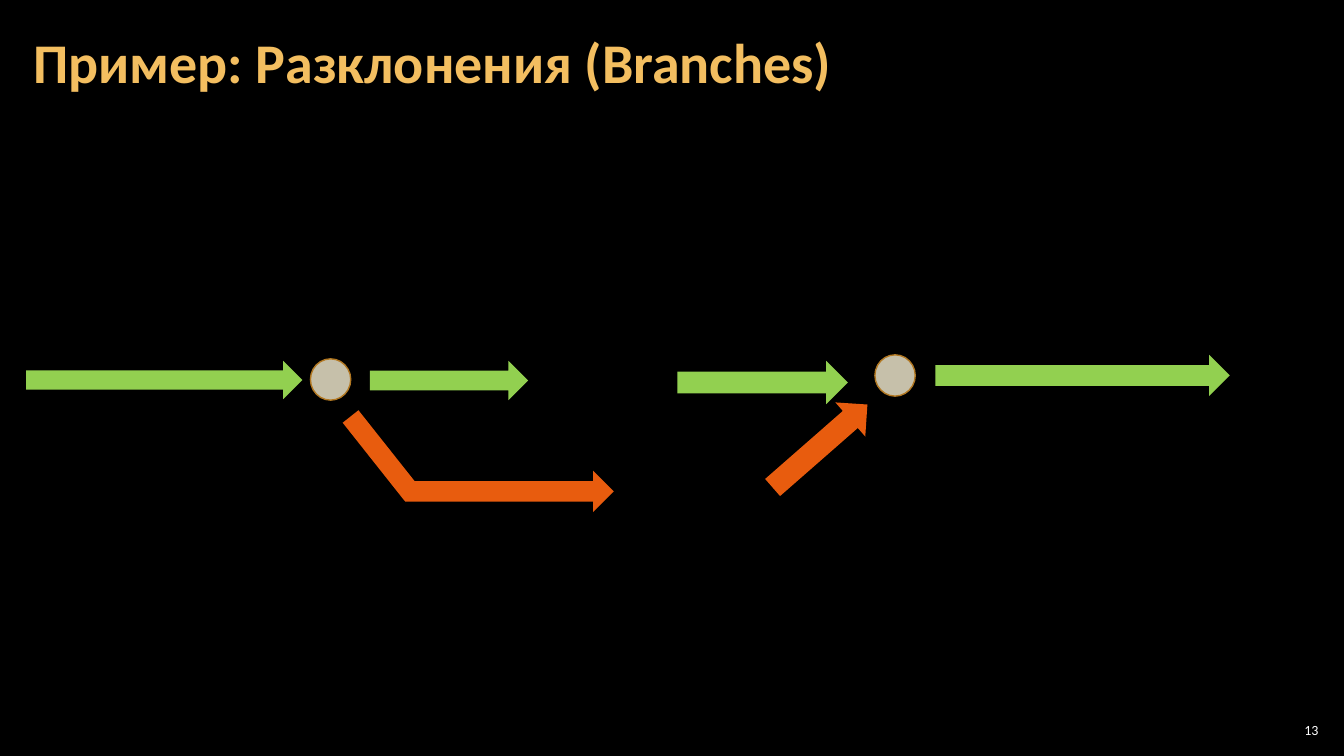
from pptx import Presentation
from pptx.dml.color import RGBColor
from pptx.enum.shapes import MSO_SHAPE as Kind
from pptx.enum.text import MSO_ANCHOR as Anchor, PP_ALIGN as Align
from pptx.util import Inches, Pt

BLACK = RGBColor(0x00, 0x00, 0x00)
WHITE = RGBColor(0xFF, 0xFF, 0xFF)
GOLD = RGBColor(0xF3, 0xBE, 0x60)
GREEN = RGBColor(0x92, 0xD0, 0x50)
ORANGE = RGBColor(0xE8, 0x5C, 0x0E)
SAND = RGBColor(0xC6, 0xC0, 0xAA)
BROWN = RGBColor(0xB2, 0x78, 0x22)

CELL = Inches(0.1)
COLS, ROWS = 133.33, 75
NODE = (4, 4.1)


def grid(*cells):
    """Turn counts of grid cells into lengths."""
    return [round(count * CELL) for count in cells]


def label(slide, box, text, side, font, para):
    """Write one line of text in the given box."""
    frame = slide.shapes.add_textbox(*grid(*box)).text_frame
    inset = {"margin_left": side, "margin_right": side,
             "margin_top": Inches(0.04), "margin_bottom": Inches(0.04),
             "word_wrap": True, "vertical_anchor": Anchor.MIDDLE}
    line = frame.paragraphs[0]
    run = line.add_run()
    run.text = text
    for part, style in ((frame, inset), (line, para), (run.font, font)):
        for name, value in style.items():
            setattr(part, name, value)
    run.font.color.rgb = GOLD if font["bold"] else WHITE


def shape(slide, origin, kind, place, fill, turn=0, edge=None):
    """Place a flat shape relative to the corner of its region."""
    left, top, width, height = place
    item = slide.shapes.add_shape(
        kind, *grid(origin[0] + left, origin[1] + top, width, height))
    item.shadow.inherit = False
    item.rotation = turn
    item.fill.solid()
    item.fill.fore_color.rgb = fill
    if edge:
        item.line.color.rgb = edge
        item.line.width = Pt(1)
    else:
        item.line.fill.background()


def title(slide, box):
    """Write the slide title."""
    label(slide, box, "Пример: Разклонения (Branches)", Inches(0.12),
          {"name": "Calibri", "size": Pt(40), "bold": True},
          {"line_spacing": 0.9})


def number(slide, box):
    """Write the slide number."""
    label(slide, box, "13", Inches(0.04),
          {"name": "Calibri", "size": Pt(10), "bold": False},
          {"alignment": Align.RIGHT})


def split(slide, origin):
    """Draw the main line with a branch leaving its node."""
    arrow = Kind.RIGHT_ARROW
    shape(slide, origin, arrow, (0, 0.6, 27.4, 3.8), GREEN)
    shape(slide, origin, Kind.OVAL, (28.2, 0.4, *NODE), SAND, edge=BROWN)
    shape(slide, origin, arrow, (34.1, 0.6, 15.7, 3.9), GREEN)
    shape(slide, origin, arrow, (37.6, 11.5, 20.7, 4.1), ORANGE)
    shape(slide, origin, Kind.RECTANGLE, (30.3, 9, 9.9, 2), ORANGE, turn=51.6)


def merge(slide, origin):
    """Draw the main line with a branch joining its node."""
    arrow = Kind.RIGHT_ARROW
    shape(slide, origin, arrow, (25.6, 0, 29.2, 4.1), GREEN)
    shape(slide, origin, arrow, (7.9, 6.8, 12.5, 4.5), ORANGE, turn=318.8)
    shape(slide, origin, Kind.OVAL, (19.6, 0, *NODE), SAND, edge=BROWN)
    shape(slide, origin, arrow, (0, 0.6, 16.9, 4.3), GREEN)


def main():
    """Build the slide and save it."""
    deck = Presentation()
    deck.slide_width, deck.slide_height = grid(COLS, ROWS)
    slide = deck.slides.add_slide(deck.slide_layouts[6])
    slide.background.fill.solid()
    slide.background.fill.fore_color.rgb = BLACK
    number(slide, (126.5, 71.4, 4.7, 2.1))
    title(slide, (2.1, 0.4, 104.7, 12.1))
    split(slide, (2.6, 35.2))
    merge(slide, (67.2, 35.2))
    deck.save("out.pptx")


if __name__ == "__main__":
    main()
